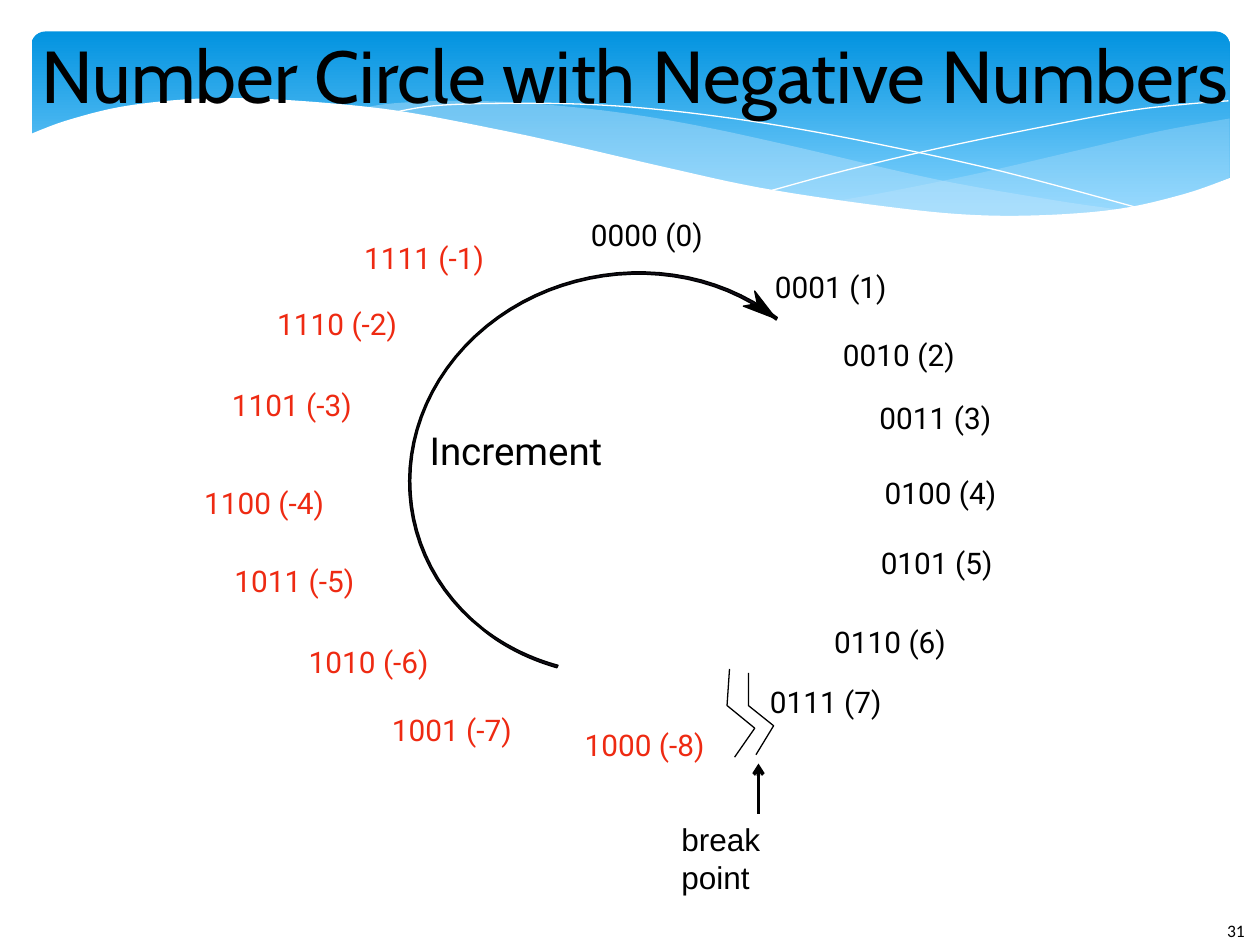
from dataclasses import dataclass

from lxml import etree
from pptx import Presentation
from pptx import util as u
from pptx.dml.color import RGBColor
from pptx.enum import shapes, text
from pptx.oxml.ns import qn


@dataclass
class Theme:
    ink: str = "000000"
    neg: str = "EE2A12"
    white: str = "FFFFFF"
    arc: str = "15111D"
    sky: str = "0293E0"
    pale: str = "83D3FE"
    wave: str = "C6E7FC"
    head: str = "Cabin"
    body: str = "Roboto"
    note: str = "Arial"
    foot: str = "Calibri"
    title: int = 42
    step: int = 22
    tip: int = 18
    label: int = 17
    page: int = 10


@dataclass
class Box:
    x: float
    y: float
    w: float
    h: float

    def at(self, x, y):
        return u.Inches(self.x + x), u.Inches(self.y + y)


T = Theme()


def rgb(code):
    return RGBColor.from_string(code)


# Text helpers
def add_run(par, words, font, size, color=T.ink):
    run = par.add_run()
    run.text = words
    run.font.name = font
    run.font.size = u.Pt(size)
    run.font.color.rgb = rgb(color)


def pad(frame, x=0, y=0):
    frame.margin_left = frame.margin_right = u.Inches(x)
    frame.margin_top = frame.margin_bottom = u.Inches(y)


def add_text(parts, box, x, y, w, h, words, font, size, color=T.ink, inset=(0, 0), wrap=False):
    item = parts.add_textbox(*box.at(x, y), u.Inches(w), u.Inches(h))
    frame = item.text_frame
    frame.word_wrap = wrap
    frame.auto_size = text.MSO_AUTO_SIZE.SHAPE_TO_FIT_TEXT
    pad(frame, *inset)
    add_run(frame.paragraphs[0], words, font, size, color)
    return item


# Curve helpers
def bezier(a, b, c, d, steps=24):
    """Points along a cubic curve, without its first point."""
    for i in range(1, steps + 1):
        t = i / steps
        s = 1 - t
        yield tuple(s**3 * p + 3 * s * s * t * q + 3 * s * t * t * r + t**3 * v
                    for p, q, r, v in zip(a, b, c, d))


def chain(pts):
    """Joined cubic curves: one start, then three points for each curve."""
    out = [pts[0]]
    for i in range(0, len(pts) - 1, 3):
        out += bezier(*pts[i:i + 4])
    return out


def smooth(pts):
    """A soft curve through all the points."""
    ends = [pts[0], *pts, pts[-1]]
    out = [pts[0]]
    for a, b, c, d in zip(ends, ends[1:], ends[2:], ends[3:]):
        one = tuple(q + (r - p) / 6 for p, q, r in zip(a, b, c))
        two = tuple(r - (v - q) / 6 for q, r, v in zip(b, c, d))
        out += bezier(b, one, two, c, 6)
    return out


def draw(parts, box, pts, fill=None, line=None, alpha=None):
    spots = [box.at(*p) for p in pts]
    pen = parts.build_freeform(*spots[0])
    pen.add_line_segments(spots[1:], close=fill is not None)
    item = pen.convert_to_shape()
    item.shadow.inherit = False
    if fill:
        item.fill.solid()
        item.fill.fore_color.rgb = rgb(fill)
    else:
        item.fill.background()
    if alpha:
        tone = item.fill._xPr.find(qn("a:solidFill"))[0]
        etree.SubElement(tone, qn("a:alpha")).set("val", str(alpha * 1000))
    if line:
        item.line.color.rgb = rgb(line)
        item.line.width = u.Pt(0)
    else:
        item.line.fill.background()


def add_band(slide, box):
    # Blue panel
    panel = slide.shapes.add_shape(shapes.MSO_SHAPE.ROUNDED_RECTANGLE, *box.at(0, 0),
                                   u.Inches(box.w), u.Inches(box.h))
    panel.adjustments[0] = 0.07
    panel.shadow.inherit = False
    panel.line.fill.background()
    panel.fill.gradient()
    panel.fill.gradient_angle = 270
    for stop, place, color in zip(panel.fill.gradient_stops, (0, 0.9), (T.sky, T.pale)):
        stop.position = place
        stop.color.rgb = rgb(color)

    # Pale waves, each an upper and a lower edge
    parts = slide.shapes.add_group_shape().shapes
    right = (smooth([(9.51, .69), (8.96, .79), (8.36, .93), (7.54, 1.12), (6.81, 1.27), (6.36, 1.35)])
             + smooth([(6.36, 1.35), (6.94, 1.42), (7.56, 1.47), (8.1, 1.47), (8.56, 1.42),
                       (9.1, 1.31), (9.51, 1.16)]))
    long = (smooth([(8.68, 1.42), (8.12, 1.34), (7.16, 1.17), (6.04, .91), (5.3, .75), (4.64, .64),
                    (3.95, .57), (3.36, .55), (2.88, .57), (2.61, .61)])
            + smooth([(2.61, .61), (3.37, .72), (4.24, .91), (5.05, 1.1), (5.93, 1.28), (6.7, 1.4),
                      (7.36, 1.46), (7.93, 1.48), (8.42, 1.45), (8.68, 1.42)]))
    draw(parts, box, right, T.wave, alpha=29)
    draw(parts, box, long, T.wave, alpha=40)

    # White threads
    for pts in (
        [(2.84, .65), (3.19, .59), (3.76, .57), (4.44, .58), (5.08, .63), (5.83, .73),
         (6.7, .89), (7.7, 1.11), (8.82, 1.41)],
        [(5.88, 1.26), (6.47, 1.1), (7.23, .92), (8.11, .74), (8.7, .63), (9.13, .58), (9.5, .55)],
    ):
        draw(parts, box, smooth(pts), line=T.white)

    # White lower edge
    edge = smooth([(-.02, .82), (.27, .71), (.7, .6), (1.21, .54), (1.68, .53), (2.25, .56),
                   (2.91, .63), (3.66, .77), (4.22, .89), (5.04, 1.08), (5.78, 1.24), (6.63, 1.37),
                   (7.36, 1.45), (7.98, 1.46), (8.62, 1.41), (9.15, 1.29), (9.52, 1.16)])
    draw(parts, box, edge + [(9.52, 1.99), (-.02, 1.99)], T.white)


def add_title(slide, box):
    title = slide.shapes.title
    title.left, title.top = box.at(0, 0)
    title.width, title.height = u.Inches(box.w), u.Inches(box.h)
    frame = title.text_frame
    frame.vertical_anchor = text.MSO_ANCHOR.MIDDLE
    pad(frame)
    par = frame.paragraphs[0]
    par.alignment = text.PP_ALIGN.CENTER
    add_run(par, "Number Circle with Negative Numbers", T.head, T.title)
    slide.shapes._spTree.append(title._element)  # in front of the band


def add_note(slide, box):
    note = add_text(slide.shapes, box, 0, .4, box.w, .38, "break point", T.note, T.tip,
                    inset=(.1, .05), wrap=True)
    mid = box.w / 2
    arrow = slide.shapes.add_connector(shapes.MSO_CONNECTOR.STRAIGHT, *box.at(mid, .4), *box.at(mid, 0))
    arrow.begin_connect(note, 0)
    arrow.line.color.rgb = rgb(T.ink)
    arrow.line.width = u.Pt(0)
    etree.SubElement(arrow.line._get_or_add_ln(), qn("a:tailEnd")).set("type", "arrow")
    etree.SubElement(arrow._element.spPr, qn("a:effectLst"))


def add_ring(slide, box):
    parts = slide.shapes.add_group_shape().shapes

    # Four-bit labels, clockwise from -8 to 7
    spots = [(3.14, 4.27), (1.61, 4.15), (.95, 3.61), (.36, 2.97), (.12, 2.35), (.34, 1.57),
             (.7, .93), (1.39, .4), (3.19, .22), (4.65, .63), (5.19, 1.17), (5.48, 1.67),
             (5.52, 2.27), (5.49, 2.82), (5.12, 3.45), (4.61, 3.93)]
    for n, (x, y) in enumerate(spots, -8):
        add_text(parts, box, x, y, 1.06 if n < 0 else .99, .32, f"{n % 16:04b} ({n})",
                 T.body, T.label, T.neg if n < 0 else T.ink)

    # Arc between two edges, with its head
    inner = chain([(4.66, 1.04), (3.94, .48), (2.84, .58), (2.2, 1.25), (1.56, 1.93),
                   (1.63, 2.93), (2.34, 3.49), (2.51, 3.62), (2.71, 3.72), (2.93, 3.78)])
    outer = chain([(2.92, 3.8), (2.71, 3.74), (2.5, 3.64), (2.33, 3.5), (1.61, 2.94),
                   (1.54, 1.93), (2.19, 1.24), (2.83, .56), (3.95, .46), (4.67, 1.02)])
    draw(parts, box, inner + outer, T.arc, T.ink)
    draw(parts, box, [(4.51, .91), (4.4, .93), (4.66, 1.03), (4.49, .81)], T.ink, T.ink)

    # Break marks
    draw(parts, box, [(4.29, 3.81), (4.27, 4.1), (4.49, 4.28), (4.33, 4.51)], line=T.ink)
    draw(parts, box, [(4.44, 3.84), (4.44, 4.1), (4.64, 4.26), (4.5, 4.49)], line=T.ink)
    add_text(parts, box, 1.91, 1.89, 1.5, .4, "Increment", T.body, T.step)


def add_page(slide, box):
    add_text(slide.shapes, box, 0, 0, box.w, box.h, "31", T.foot, T.page, inset=(.1, .05))


def main():
    deck = Presentation()
    deck.slide_width, deck.slide_height = u.Inches(10), u.Inches(7.5)
    slide = deck.slides.add_slide(deck.slide_layouts[5])
    add_band(slide, Box(.25, .25, 9.51, 1.56))
    add_title(slide, Box(0, .08, 10.08, 1.02))
    add_note(slide, Box(5.31, 6.06, 1.42, .78))
    add_ring(slide, Box(1.5, 1.5, 6.6, 4.6))
    add_page(slide, Box(9.64, 7.25, .36, .25))
    deck.save("out.pptx")


if __name__ == "__main__":
    main()
